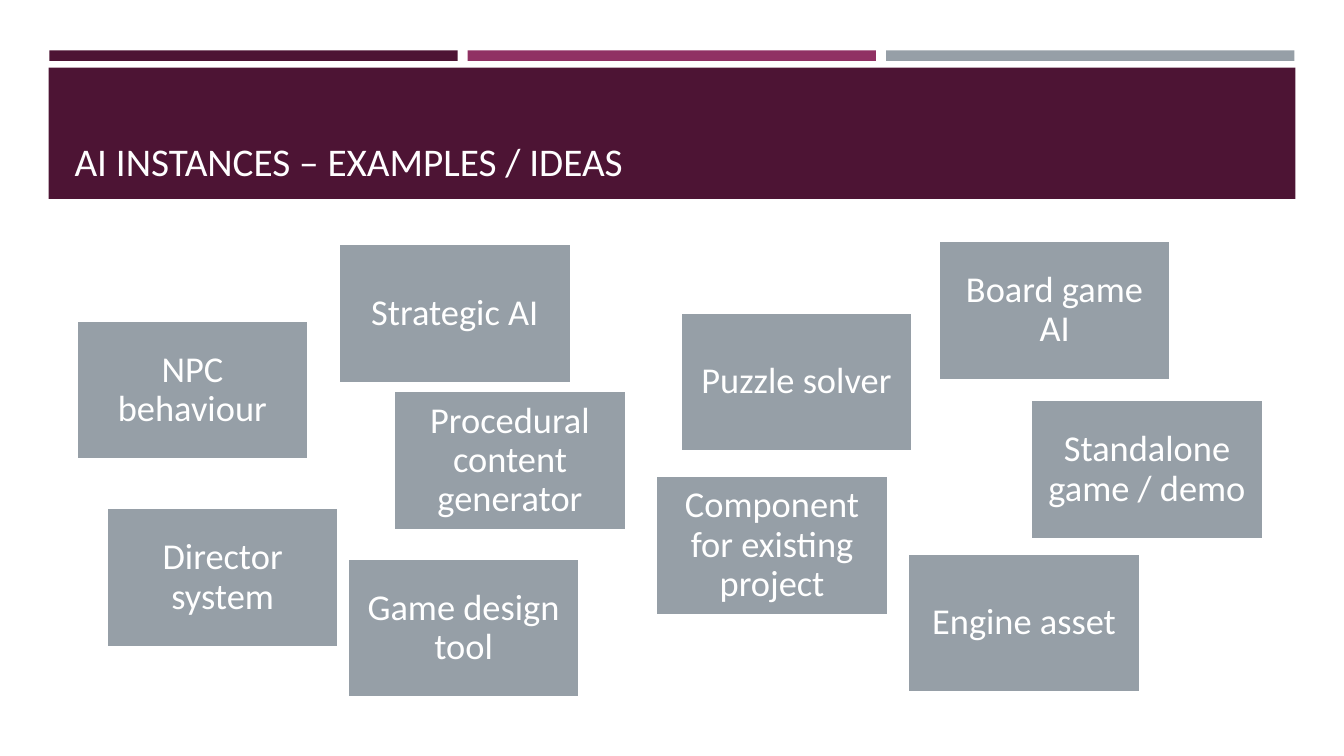
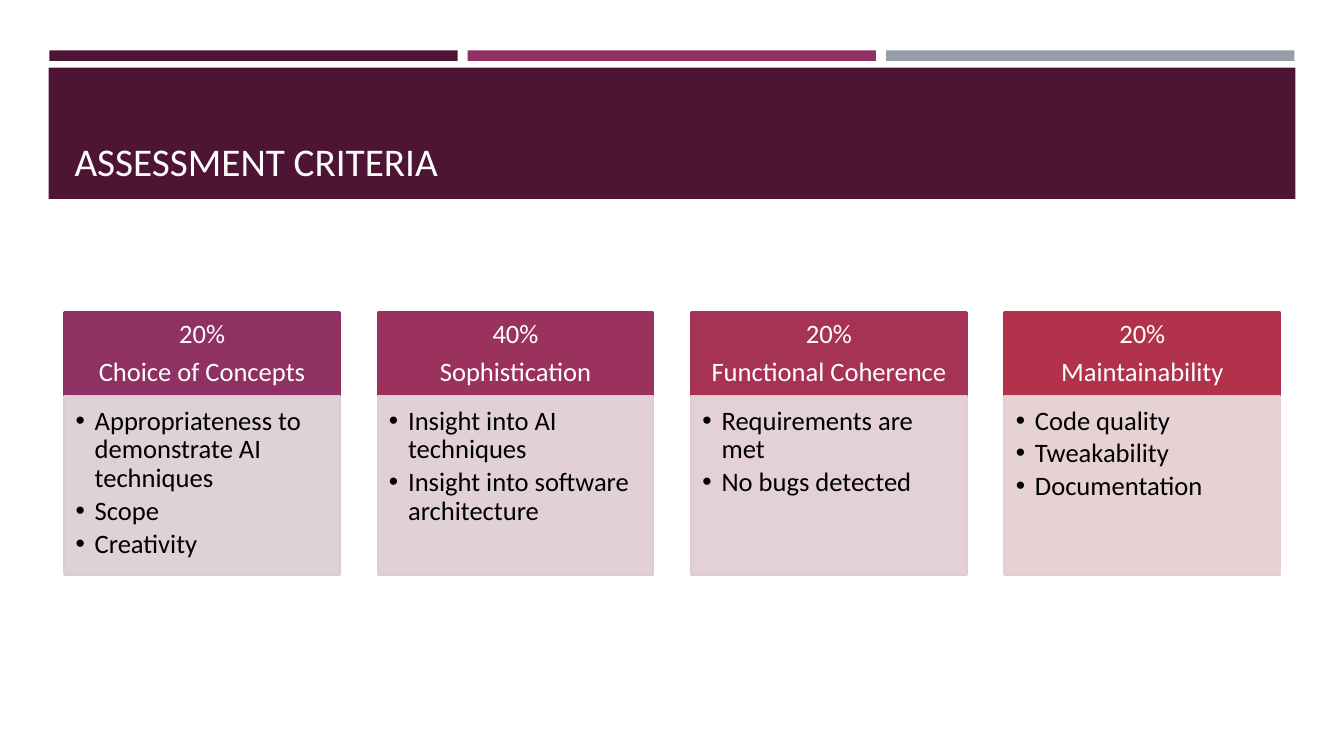
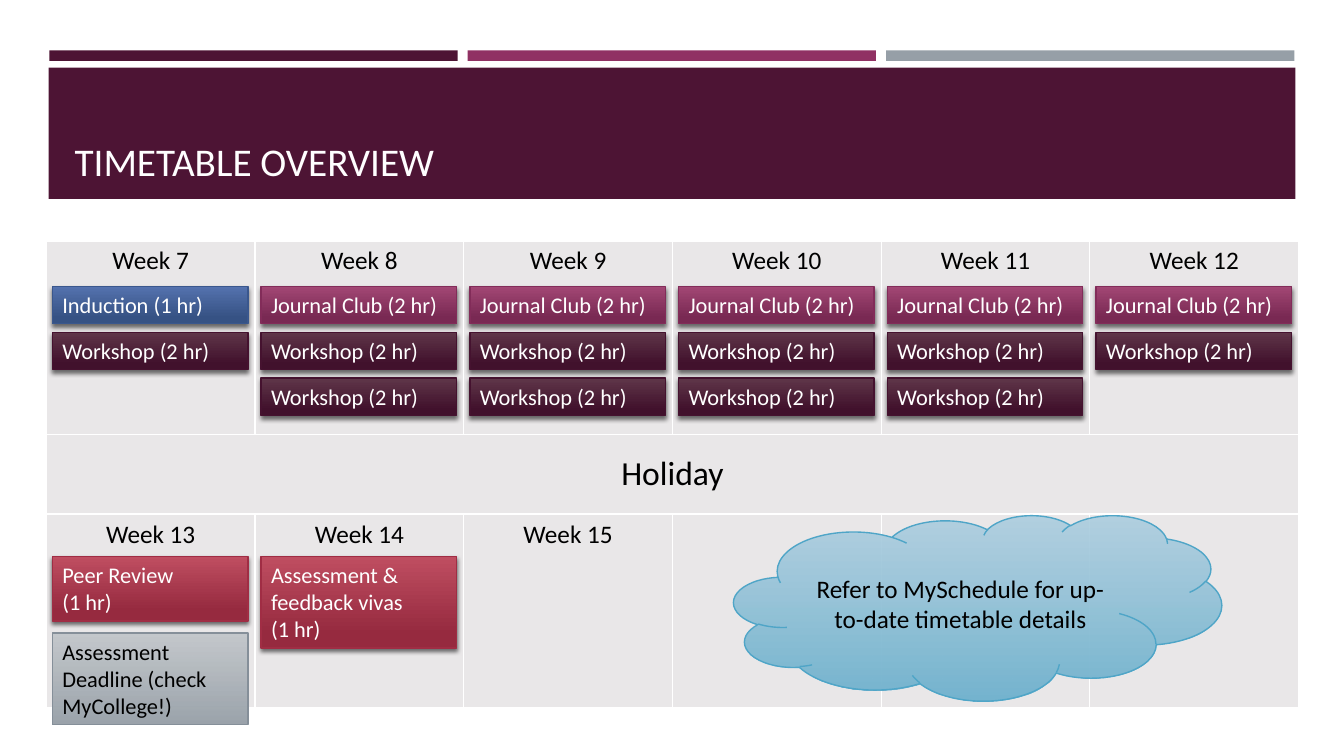
"""Build three slides on an AI module: project ideas, assessment criteria and timetable."""
import lxml.etree
import pptx
import pptx.dml.color
import pptx.enum.shapes
import pptx.enum.text
import pptx.oxml.ns
import pptx.util

COLORS = {
    "title": "FFFEFF", "white": "FFFFFF", "black": "000000",
    "plum": "4D1434", "magenta": "903163", "grey": "969FA7", "cell": "E9E7E8",
    "concepts": "903163", "concepts_body": "DBCED3",
    "sophistication": "9B325D", "sophistication_body": "DECDD2",
    "coherence": "A63256", "coherence_body": "E1CDD1",
    "maintainability": "B2324B", "maintainability_body": "E4CED0",
    "workshop_top": "5F3649", "workshop_bottom": "41112C", "workshop_line": "45122F",
    "induction_top": "5472AE", "induction_bottom": "365284", "induction_line": "3A578D",
    "journal_top": "A24774", "journal_bottom": "792953", "journal_line": "822C59",
    "review_top": "BF4E61", "review_bottom": "962A3F", "review_line": "A02D44",
    "cloud_top": "ACCEDF", "cloud_bottom": "75B4CF", "cloud_line": "4FA5C7",
    "deadline_top": "C0C5C9", "deadline_bottom": "9BA3AB", "deadline_line": "858F99",
}
FONT = "Calibri"
RGB = pptx.dml.color.RGBColor.from_string
ALIGN = pptx.enum.text.PP_ALIGN
ANCHOR = pptx.enum.text.MSO_ANCHOR
SHAPE = pptx.enum.shapes.MSO_SHAPE
qn = pptx.oxml.ns.qn

presentation = pptx.Presentation()
presentation.slide_width = pptx.util.Inches(13.333)
presentation.slide_height = pptx.util.Inches(7.5)
percent_x = presentation.slide_width / 100
percent_y = presentation.slide_height / 100


def write(frame, text, size=16, color="white", align=ALIGN.LEFT, anchor=None,
          margins=None, line_spacing=None, space_after=None, bullet=False):
    """Fill a text frame, one paragraph per line of text."""
    frame.text = text
    if anchor is not None:
        frame.vertical_anchor = anchor
    if margins:
        (frame.margin_left, frame.margin_top, frame.margin_right,
         frame.margin_bottom) = [pptx.util.Inches(margin) for margin in margins]
    for paragraph in frame.paragraphs:
        paragraph.alignment = align
        paragraph.line_spacing = line_spacing
        if space_after is not None:
            paragraph.space_after = pptx.util.Pt(space_after)
        for run in paragraph.runs:
            run.font.name = FONT
            run.font.size = pptx.util.Pt(size)
            run.font.color.rgb = RGB(COLORS[color])
        if bullet:
            properties = paragraph._p.get_or_add_pPr()
            indent = pptx.util.Inches(0.19)
            properties.set("marL", str(indent))
            properties.set("indent", str(-indent))
            lxml.etree.SubElement(properties, qn("a:buFont"), typeface="Arial")
            lxml.etree.SubElement(properties, qn("a:buChar"), char="•")


def add_box(slide, left, top, width, height, fill, line=None, line_width=1.75,
            kind=SHAPE.RECTANGLE, gradient_end=None, alpha=None, shadow=False):
    """Add a filled shape, placed in percent of the slide, with gradient_end as a share."""
    shape = slide.shapes.add_shape(
        kind, round(left * percent_x), round(top * percent_y),
        round(width * percent_x), round(height * percent_y))
    shape.shadow.inherit = False
    if gradient_end:
        shape.fill.gradient()
        shape.fill.gradient_angle = 270
        stops = zip(shape.fill.gradient_stops, ("top", "bottom"), (0, gradient_end))
        for stop, end, position in stops:
            stop.color.rgb = RGB(COLORS[f"{fill}_{end}"])
            stop.position = position
    else:
        shape.fill.solid()
        shape.fill.fore_color.rgb = RGB(COLORS[fill])
    if alpha:
        color = next(shape.element.iter(qn("a:srgbClr")))
        lxml.etree.SubElement(color, qn("a:alpha"), val=str(alpha * 1000))
    if line:
        shape.line.color.rgb = RGB(COLORS[line])
        shape.line.width = pptx.util.Pt(line_width)
    else:
        shape.line.fill.background()
    if shadow:
        effects = next(shape.element.iter(qn("a:effectLst")))
        outer = lxml.etree.SubElement(
            effects, qn("a:outerShdw"), blurRad=str(pptx.util.Pt(3)),
            dist=str(pptx.util.Pt(2)), dir="5400000", rotWithShape="0")
        color = lxml.etree.SubElement(outer, qn("a:srgbClr"), val=COLORS["black"])
        lxml.etree.SubElement(color, qn("a:alpha"), val="55000")
    return shape


layout = presentation.slide_layouts[5]
layout_title = layout.placeholders[0]
layout_title.left, layout_title.width = round(4.8 * percent_x), round(90.45 * percent_x)
layout_title.top, layout_title.height = round(10.27 * percent_y), round(14.8 * percent_y)
layout_title.text_frame.vertical_anchor = ANCHOR.BOTTOM
layout_title.text_frame.auto_size = pptx.enum.text.MSO_AUTO_SIZE.NONE

slides = []
for title in ("AI INSTANCES – EXAMPLES / IDEAS", "ASSESSMENT CRITERIA", "TIMETABLE OVERVIEW"):
    slide = presentation.slides.add_slide(layout)
    write(slide.shapes.title.text_frame, title, size=28, color="title")
    slides.append(slide)
ideas_slide, criteria_slide, timetable_slide = slides

bands = [add_box(ideas_slide, 3.67 + 31.13 * column, 6.67, 30.38, 1.4, color)
         for column, color in enumerate(("plum", "magenta", "grey"))]
bands.append(add_box(ideas_slide, 3.62, 8.95, 92.77, 17.35, "plum"))
for band in bands:
    layout.shapes.element.insert(2, band.element)

ideas = [
    ("NPC behaviour", 5.7, 42.4),
    ("Strategic AI", 25.23, 32.27),
    ("Puzzle solver", 50.65, 41.33),
    ("Board game AI", 69.85, 31.87),
    ("Director system", 7.95, 67.2),
    ("Game design tool", 25.88, 73.87),
    ("Procedural content generator", 29.33, 51.73),
    ("Standalone game / demo", 76.73, 52.93),
    ("Component for existing project", 48.83, 62.93),
    ("Engine asset", 67.58, 73.2),
]
for idea, left, top in ideas:
    tile = add_box(ideas_slide, left, top, 17.25, 18.4, "grey", line="white")
    write(tile.text_frame, idea, size=26, align=ALIGN.CENTER, anchor=ANCHOR.MIDDLE,
          margins=(0.11, 0.11, 0.11, 0.11), line_spacing=0.9, space_after=9.1)

criteria = [
    ("concepts", "20%\nChoice of Concepts",
     "Appropriateness to demonstrate AI techniques\nScope\nCreativity"),
    ("sophistication", "40%\nSophistication",
     "Insight into AI techniques\nInsight into software architecture"),
    ("coherence", "20%\nFunctional Coherence", "Requirements are met\nNo bugs detected"),
    ("maintainability", "20%\nMaintainability", "Code quality\nTweakability\nDocumentation"),
]
for column, (color, heading, points) in enumerate(criteria):
    left = 4.8 + 23.32 * column
    header = add_box(criteria_slide, left, 41.33, 20.47, 11.07, color, line=color)
    write(header.text_frame, heading, size=19, align=ALIGN.CENTER, anchor=ANCHOR.MIDDLE,
          margins=(0.15, 0.08, 0.15, 0.08), line_spacing=0.9, space_after=6.65)
    body = add_box(criteria_slide, left, 52.4, 20.47, 23.6, f"{color}_body",
                   line=f"{color}_body", alpha=90)
    write(body.text_frame, points, size=19, color="black", anchor=ANCHOR.TOP,
          margins=(0.11, 0.11, 0.15, 0.17), line_spacing=0.9, space_after=2.85, bullet=True)

table_left, table_top, column_width = 3.45, 31.87, 15.53
row_heights = (25.6, 10.53, 25.6)
labels = [
    [f"Week {week}" for week in range(7, 13)],
    ["Holiday"],
    [f"Week {week}" for week in range(13, 16)],
]
table = timetable_slide.shapes.add_table(
    3, 6, round(table_left * percent_x), round(table_top * percent_y),
    round(6 * column_width * percent_x), round(sum(row_heights) * percent_y)).table
table.first_row = False
table.horz_banding = False
for column in table.columns:
    column.width = round(column_width * percent_x)
for row, height in zip(table.rows, row_heights):
    row.height = round(height * percent_y)
for cell in table.iter_cells():
    cell.fill.solid()
    cell.fill.fore_color.rgb = RGB(COLORS["cell"])
table.cell(1, 0).merge(table.cell(1, 5))
table.cell(1, 0).vertical_anchor = ANCHOR.MIDDLE
for row, (row_labels, size) in enumerate(zip(labels, (18, 24, 18))):
    for column, label in enumerate(row_labels):
        write(table.cell(row, column).text_frame, label, size=size, color="black",
              align=ALIGN.CENTER)

induction = ("induction", "Induction (1 hr)")
journal = ("journal", "Journal Club (2 hr)")
workshop = ("workshop", "Workshop (2 hr)")
weeks = [[induction, workshop], *[[journal, workshop, workshop]] * 4, [journal, workshop]]
cards = [(column, 37.87 + 6.07 * slot, 4.93, color, text)
         for column, sessions in enumerate(weeks)
         for slot, (color, text) in enumerate(sessions)]
cards += [
    (0, 73.6, 8.53, "review", "Peer Review\n(1 hr)"),
    (1, 73.6, 12.13, "review", "Assessment & feedback vivas\n(1 hr)"),
]
card_inset, card_width = 0.45, 14.55
for column, top, height, color, text in cards:
    card = add_box(timetable_slide, table_left + column_width * column + card_inset, top,
                   card_width, height, color, line=f"{color}_line", line_width=1,
                   gradient_end=0.84, shadow=True)
    write(card.text_frame, text, anchor=ANCHOR.TOP)

cloud = add_box(timetable_slide, 54.6, 68.13, 36.3, 24.53, "cloud", line="cloud_line",
                line_width=1, kind=SHAPE.CLOUD, gradient_end=1, alpha=90)
write(cloud.text_frame, "Refer to MySchedule for up-to-date timetable details", size=18,
      color="black", align=ALIGN.CENTER, anchor=ANCHOR.MIDDLE)
deadline = add_box(timetable_slide, table_left + card_inset, 83.73, card_width, 12.13,
                   "deadline", line="deadline_line", line_width=1, gradient_end=1, alpha=90)
write(deadline.text_frame, "Assessment Deadline (check MyCollege!)", color="black",
      anchor=ANCHOR.TOP)

presentation.save("out.pptx")
